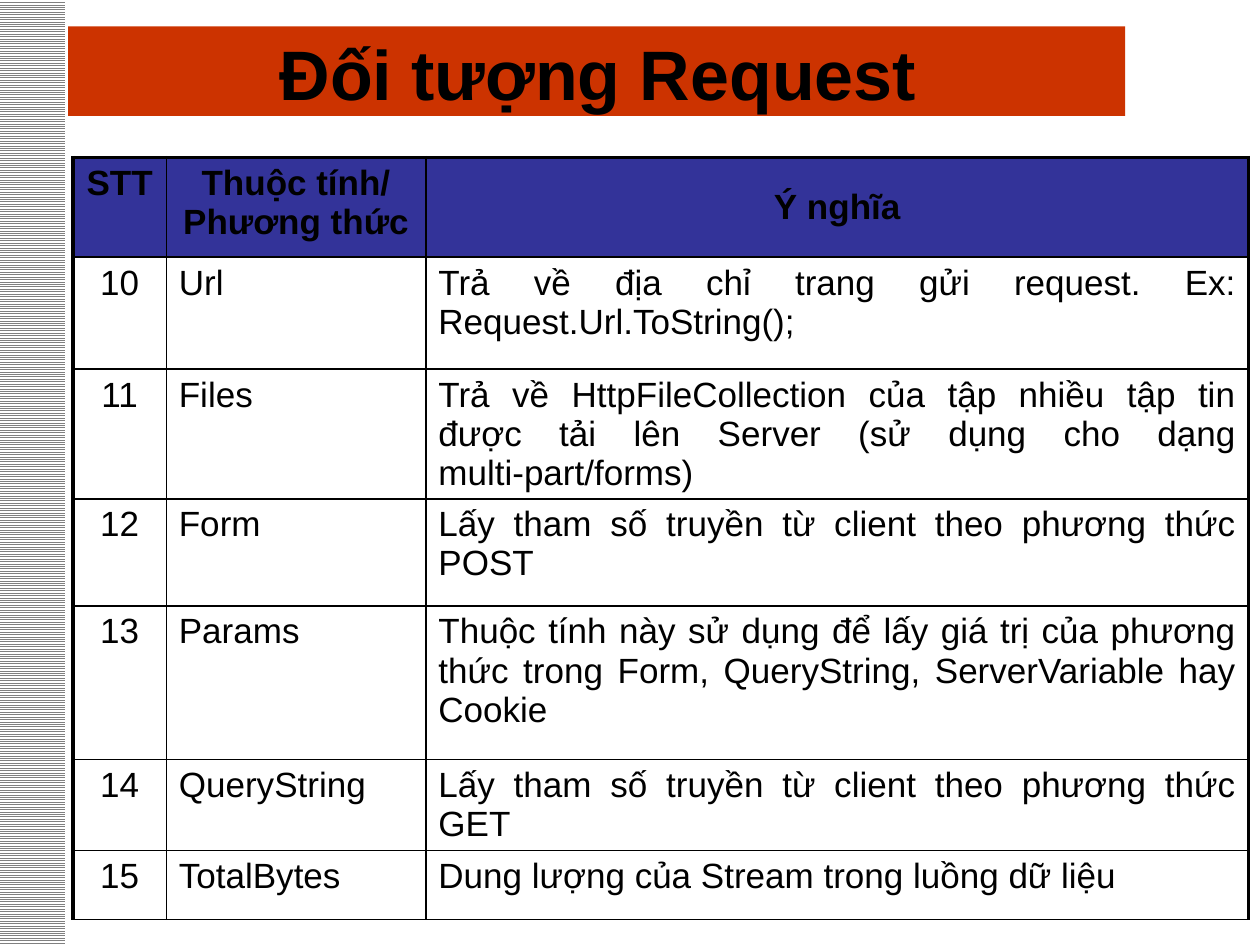
import pptx
import pptx.util
import pptx.dml.color
import pptx.enum.dml
import pptx.enum.shapes
import pptx.enum.text
import pptx.oxml
import pptx.oxml.ns

Inches = pptx.util.Inches
Align = pptx.enum.text.PP_ALIGN
Anchor = pptx.enum.text.MSO_ANCHOR

COLORS = {"band": "CC3300", "head": "333399", "ink": "000000",
          "line": "808080", "paper": "FFFFFF"}
THIN, THICK = 1, 2.25
COLS = [0.74, 2.06, 6.53]
ROWS = [0.79, 0.89, 0.89, 0.85, 1.22, 0.65, 0.55]
ALIGNS = [Align.CENTER, Align.LEFT, Align.JUSTIFY]
HEADS = ["STT", "Thuộc tính/ Phương thức", "Ý nghĩa"]
FIRST = 10
ITEMS = [
    ("Url", "Trả về địa chỉ trang gửi request. Ex: Request.Url.ToString();"),
    ("Files", "Trả về HttpFileCollection của tập nhiều tập tin được tải lên "
              "Server (sử dụng cho dạng multi-part/forms)"),
    ("Form", "Lấy tham số truyền từ client theo phương thức POST"),
    ("Params", "Thuộc tính này sử dụng để lấy giá trị của phương thức trong "
               "Form, QueryString, ServerVariable hay Cookie"),
    ("QueryString", "Lấy tham số truyền từ client theo phương thức GET"),
    ("TotalBytes", "Dung lượng của Stream trong luồng dữ liệu"),
]


def color(name):
    return pptx.dml.color.RGBColor.from_string(COLORS[name])


def apply(item, values):
    for key, value in values.items():
        setattr(item, key, value)


def write(frame, text, align, size, bold):
    frame.text = text
    para = frame.paragraphs[0]
    para.alignment = align
    font = para.runs[0].font
    apply(font, {"name": "Arial", "size": pptx.util.Pt(size), "bold": bold})
    font.color.rgb = color("ink")


def add_rect(slide, box):
    kind = pptx.enum.shapes.MSO_SHAPE.RECTANGLE
    rect = slide.shapes.add_shape(kind, *map(Inches, box))
    rect.shadow.inherit = False
    rect.line.fill.background()
    return rect


def add_band(slide):
    band = add_rect(slide, (0.54, 0.21, 8.39, 0.71))
    band.fill.solid()
    band.fill.fore_color.rgb = color("band")


def add_strip(slide):
    fill = add_rect(slide, (-0.01, 0, 0.53, 7.5)).fill
    fill.patterned()
    fill.pattern = pptx.enum.dml.MSO_PATTERN.LIGHT_HORIZONTAL
    fill.fore_color.rgb = color("line")
    fill.back_color.rgb = color("paper")


def add_title(slide):
    title = slide.shapes.title
    box = map(Inches, (0.58, 0.17, 8.33, 0.75))
    apply(title, dict(zip(("left", "top", "width", "height"), box)))
    frame = title.text_frame
    apply(frame, {"vertical_anchor": Anchor.BOTTOM, "word_wrap": True,
                  "auto_size": pptx.enum.text.MSO_AUTO_SIZE.NONE,
                  "margin_top": 0, "margin_bottom": Inches(0.01)})
    write(frame, "Đối tượng Request", Align.CENTER, 40, True)


def add_edge(cell, side, width):
    space = pptx.oxml.ns.nsdecls("a")
    edge = pptx.oxml.parse_xml(
        f'<a:ln{side} {space} w="{pptx.util.Pt(width)}"><a:solidFill>'
        f'<a:srgbClr val="{COLORS["ink"]}"/></a:solidFill></a:ln{side}>')
    cell._tc.get_or_add_tcPr().append(edge)


def set_cell(cell, text, row, col):
    head = row == 0
    last = col == len(COLS) - 1
    edges = {"L": col == 0, "R": last, "T": head, "B": False}
    for side, outer in edges.items():
        add_edge(cell, side, THICK if outer else THIN)
    if head:
        cell.fill.solid()
        cell.fill.fore_color.rgb = color("head")
    else:
        cell.fill.background()
    middle = head and last
    cell.vertical_anchor = Anchor.MIDDLE if middle else Anchor.TOP
    align = Align.CENTER if head else ALIGNS[col]
    write(cell.text_frame, text, align, 20, head)


def add_grid(slide):
    box = map(Inches, (0.58, 1.25, 9.33, 6.16))
    grid = slide.shapes.add_table(len(ROWS), len(COLS), *box).table
    apply(grid, {"first_row": False, "horz_banding": False})
    for col, width in zip(grid.columns, COLS):
        col.width = Inches(width)
    for row, height in zip(grid.rows, ROWS):
        row.height = Inches(height)
    lines = [HEADS] + [(str(num), *item)
                       for num, item in enumerate(ITEMS, FIRST)]
    for row, line in enumerate(lines):
        for col, text in enumerate(line):
            set_cell(grid.cell(row, col), text, row, col)


def main():
    deck = pptx.Presentation()
    apply(deck, {"slide_width": Inches(10), "slide_height": Inches(7.5)})
    slide = deck.slides.add_slide(deck.slide_layouts[5])
    add_band(slide)
    add_strip(slide)
    add_grid(slide)
    add_title(slide)
    tree = slide.shapes._spTree
    tree.append(slide.shapes.title._element)
    deck.save("out.pptx")


if __name__ == "__main__":
    main()
